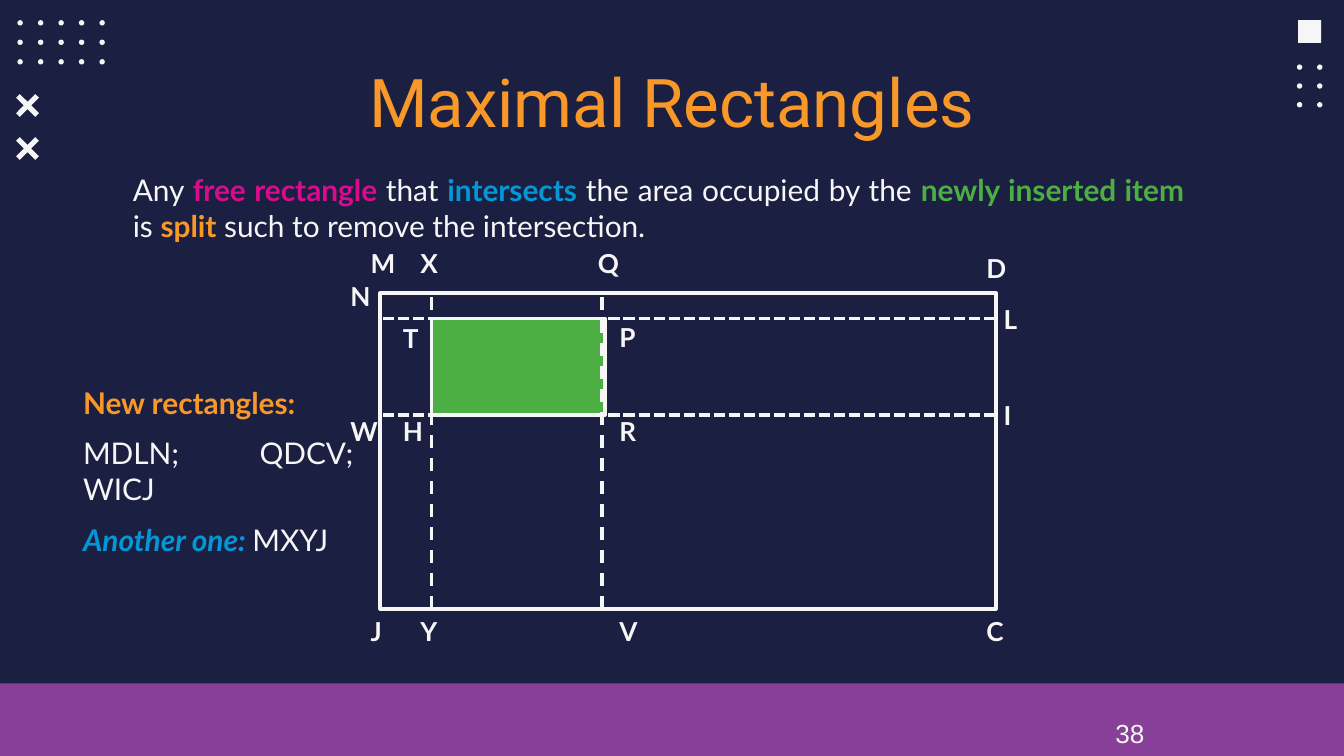
from pptx import Presentation
from pptx.dml.color import RGBColor
from pptx.enum.dml import MSO_LINE
from pptx.enum.shapes import MSO_CONNECTOR, MSO_SHAPE
from pptx.enum.text import MSO_ANCHOR, PP_ALIGN
from pptx.oxml.ns import qn
from pptx.util import Inches, Pt
from lxml import etree

STRAIGHT = MSO_CONNECTOR.STRAIGHT
RECTANGLE, OVAL = MSO_SHAPE.RECTANGLE, MSO_SHAPE.OVAL
SHORT_DASH, DASH = MSO_LINE.SQUARE_DOT, MSO_LINE.DASH
TOP = MSO_ANCHOR.TOP
LEFT, CENTER, JUSTIFY = PP_ALIGN.LEFT, PP_ALIGN.CENTER, PP_ALIGN.JUSTIFY

SLIDE_WIDTH = 10
SLIDE_HEIGHT = SLIDE_WIDTH * 9 / 16
COLORS = {"navy": "1B1F42", "white": "F6F6F6", "purple": "883F98", "orange": "F89829",
          "pink": "D80C8C", "blue": "0397D6", "green": "4CAE43"}

INTRO = [[("Any ", "white", ""), ("free rectangle ", "pink", "b"), ("that ", "white", ""),
          ("intersects", "blue", "b"), (" the area occupied by the ", "white", ""),
          ("newly inserted item ", "green", "b"), ("is ", "white", ""),
          ("split", "orange", "b"), (" such to remove the intersection.", "white", "")]]
RESULTS = [[("New rectangles:", "orange", "b")],
           [("MDLN; QDCV; WICJ", "white", "")],
           [("Another one: ", "blue", "bi"), ("MXYJ", "white", "")]]
CORNERS = {"M": (-0.17, -0.39), "X": (0.2, -0.39), "Q": (1.52, -0.39), "D": (4.41, -0.35),
           "N": (-0.32, -0.14), "L": (4.54, 0.03), "T": (0.07, 0.17), "P": (1.68, 0.16),
           "W": (-0.32, 0.86), "H": (0.07, 0.86), "R": (1.68, 0.86), "I": (4.54, 0.74),
           "J": (-0.17, 2.35), "Y": (0.2, 2.35), "V": (1.68, 2.35), "C": (4.41, 2.35)}


def rgb(name):
    """Return the named colour."""
    return RGBColor.from_string(COLORS[name])


def paint(shape, fill=None, line=None, weight=2):
    """Give a shape its fill and outline, without a shadow."""
    shape.shadow.inherit = False
    if fill:
        shape.fill.solid()
        shape.fill.fore_color.rgb = rgb(fill)
    else:
        shape.fill.background()
    if line:
        shape.line.color.rgb = rgb(line)
        shape.line.width = Pt(weight)
    else:
        shape.line.fill.background()


def add_block(slide, box, kind, fill=None, line=None):
    """Add a preset shape in the box."""
    shape = slide.shapes.add_shape(kind, *map(Inches, box))
    paint(shape, fill, line)


def add_dash(slide, start, end, style, weight):
    """Add a dashed line between two points."""
    line = slide.shapes.add_connector(STRAIGHT, *map(Inches, (*start, *end)))
    line.line.color.rgb = rgb("white")
    line.line.width = Pt(weight)
    line.line.dash_style = style
    etree.SubElement(line._element.spPr, qn("a:effectLst"))


def write(frame, paragraphs, font, size, align=LEFT, after=0):
    """Fill a text frame with paragraphs of styled runs."""
    frame.word_wrap = True
    frame.vertical_anchor = TOP
    for index, spans in enumerate(paragraphs):
        para = frame.paragraphs[0] if index == 0 else frame.add_paragraph()
        para.alignment = align
        para.space_after = Pt(after)
        for text, color, style in spans:
            span = para.add_run()
            span.text = text
            span.font.name = font
            span.font.size = Pt(size)
            span.font.color.rgb = rgb(color)
            span.font.bold = "b" in style
            span.font.italic = "i" in style


def add_text(slide, box, paragraphs, font="Lato", size=16, align=JUSTIFY, after=8):
    """Add a text box."""
    shape = slide.shapes.add_textbox(*map(Inches, box))
    write(shape.text_frame, paragraphs, font, size, align, after)


def add_title(slide, box, text):
    """Place and format the title."""
    title = slide.shapes.title
    title.left, title.top, title.width, title.height = map(Inches, box)
    frame = title.text_frame
    frame.margin_left = frame.margin_right = Inches(0.1)
    frame.margin_top = frame.margin_bottom = Inches(0.1)
    write(frame, [[(text, "orange", "")]], "Roboto", 36, CENTER)


def add_dots(slide, box, columns, rows):
    """Spread a grid of dots evenly over the box."""
    left, top, width, height = box
    dot = 0.04
    for row in range(rows):
        for column in range(columns):
            x = left + column * (width - dot) / (columns - 1)
            y = top + row * (height - dot) / (rows - 1)
            add_block(slide, (x, y, dot, dot), OVAL, "white")


def add_cross(slide, box):
    """Draw a diagonal cross that fills the box."""
    left, top, width, height = box
    arm, waist = 0.16, 0.34
    points = [(arm, 0), (0.5, waist), (1 - arm, 0), (1, arm), (1 - waist, 0.5), (1, 1 - arm),
              (1 - arm, 1), (0.5, 1 - waist), (arm, 1), (0, 1 - arm), (waist, 0.5), (0, arm)]
    corners = [(Inches(left + x * width), Inches(top + y * height)) for x, y in points]
    builder = slide.shapes.build_freeform(*corners[0])
    builder.add_line_segments(corners[1:], close=True)
    paint(builder.convert_to_shape(), "white")


def add_decoration(slide, box):
    """Add the corner ornaments and the footer band."""
    left, top, width, height = box
    right = left + width
    add_block(slide, (right - 0.34, top + 0.15, 0.17, 0.17), RECTANGLE, "white")
    for offset in (0.7, 1.02):
        add_cross(slide, (left + 0.12, top + offset, 0.17, 0.17))
    add_dots(slide, (left + 0.13, top + 0.15, 0.65, 0.33), 5, 3)
    add_dots(slide, (right - 0.35, top + 0.48, 0.19, 0.32), 2, 3)
    add_block(slide, (left, top + height - 0.54, width, 0.54), RECTANGLE, "purple")


def add_diagram(slide, box):
    """Draw the bin, the inserted item, its cutting lines and the corner letters."""
    left, top, width, height = box
    item_x, item_y, item_width, item_height = left + 0.38, top + 0.19, 1.29, 0.72
    add_block(slide, box, RECTANGLE, line="white")
    for y in (item_y, item_y + item_height):
        add_dash(slide, (left + 0.02, y), (left + width, y), SHORT_DASH, 2)
    add_block(slide, (item_x, item_y, item_width, item_height), RECTANGLE, "green", "white")
    for x in (item_x, left + 1.65):
        add_dash(slide, (x, top + height), (x, top), DASH, 1.75)
    for letter, (x, y) in CORNERS.items():
        add_text(slide, (left + x, top + y, 0.34, 0.34), [[(letter, "white", "b")]],
                 size=14, align=LEFT, after=0)


def main():
    """Build and save the deck."""
    deck = Presentation()
    deck.slide_width, deck.slide_height = Inches(SLIDE_WIDTH), Inches(SLIDE_HEIGHT)
    slide = deck.slides.add_slide(deck.slide_layouts[5])
    slide.background.fill.solid()
    slide.background.fill.fore_color.rgb = rgb("navy")
    add_decoration(slide, (0, 0, SLIDE_WIDTH, SLIDE_HEIGHT))
    add_title(slide, (0.78, 0.35, 8.44, 0.63), "Maximal Rectangles")
    add_text(slide, (0.89, 1.23, 8.02, 0.64), INTRO)
    add_diagram(slide, (2.83, 2.18, 4.58, 2.35))
    add_text(slide, (0.52, 2.81, 2.21, 1.13), RESULTS)
    add_text(slide, (8.2, 5.29, 1.72, 0.34), [[("38", "white", "")]], "Arial", 14, LEFT, 0)
    deck.save("out.pptx")


if __name__ == "__main__":
    main()
